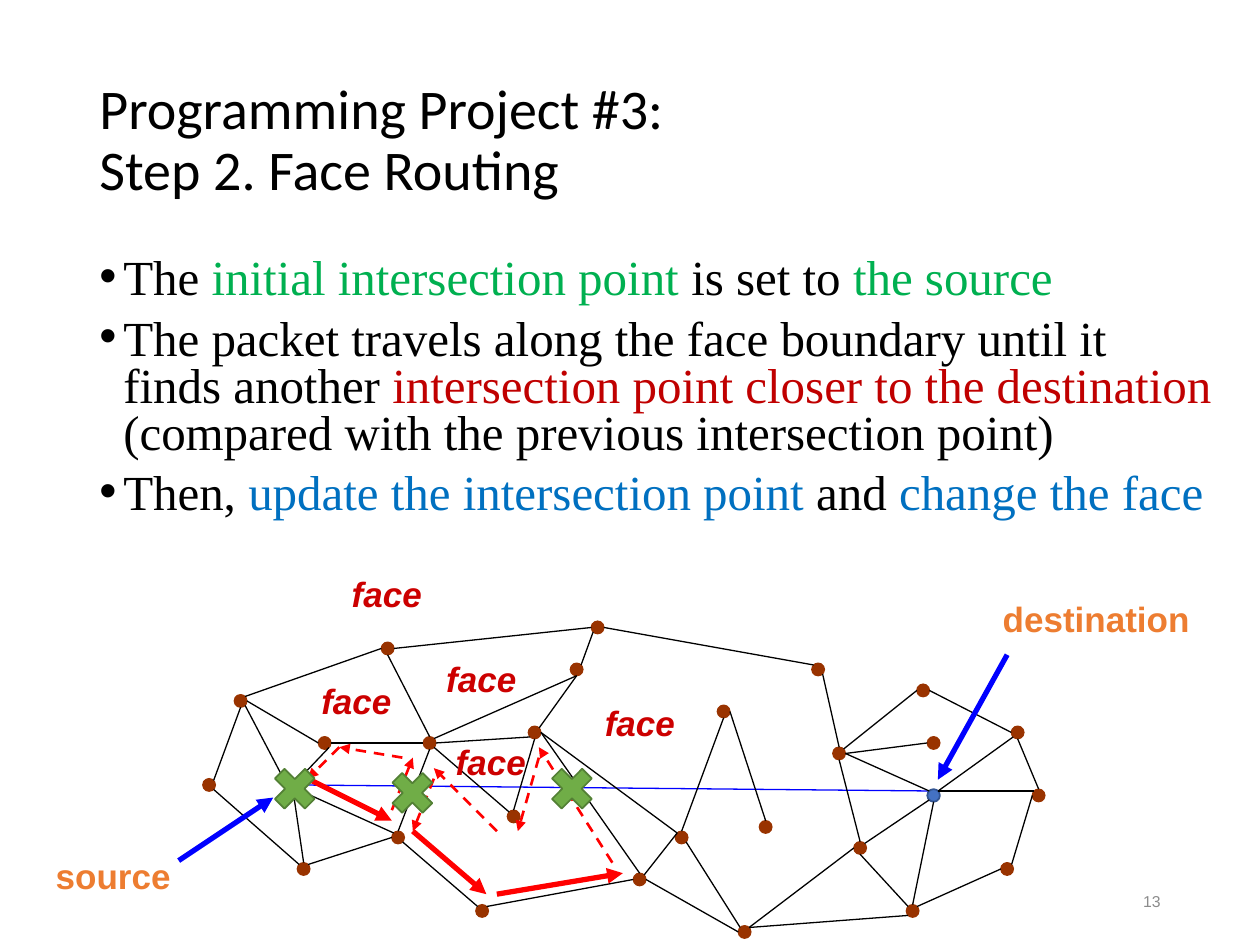
from typing import NamedTuple

from lxml import etree
from pptx import Presentation
from pptx.dml.color import RGBColor
from pptx.enum.dml import MSO_LINE
from pptx.enum.shapes import MSO_CONNECTOR, MSO_SHAPE
from pptx.enum.text import MSO_ANCHOR, MSO_AUTO_SIZE, PP_ALIGN
from pptx.oxml.ns import qn
from pptx.util import Inches, Pt

OVAL, CROSS = MSO_SHAPE.OVAL, MSO_SHAPE.MATH_MULTIPLY
LINE, DASH = MSO_CONNECTOR.STRAIGHT, MSO_LINE.DASH
TOP, MIDDLE = MSO_ANCHOR.TOP, MSO_ANCHOR.MIDDLE
LEFT, RIGHT = PP_ALIGN.LEFT, PP_ALIGN.RIGHT
GROW, FIXED = MSO_AUTO_SIZE.SHAPE_TO_FIT_TEXT, MSO_AUTO_SIZE.NONE

BLACK = RGBColor(0x00, 0x00, 0x00)
GRAY = RGBColor(0x8C, 0x8C, 0x8C)
BROWN = RGBColor(0x99, 0x33, 0x00)
STEEL = RGBColor(0x44, 0x72, 0xC4)
NAVY = RGBColor(0x32, 0x54, 0x91)
BLUE = RGBColor(0x00, 0x00, 0xFF)
RED = RGBColor(0xFF, 0x00, 0x00)
CRIMSON = RGBColor(0xCC, 0x00, 0x00)
ORANGE = RGBColor(0xED, 0x7D, 0x31)
LEAF = RGBColor(0x70, 0xAD, 0x47)
MOSS = RGBColor(0x53, 0x80, 0x35)
GREEN = RGBColor(0x00, 0xB0, 0x50)
MAROON = RGBColor(0xC0, 0x00, 0x00)
AZURE = RGBColor(0x00, 0x70, 0xC0)

# The graph lies on a grid of twelve cells to the inch
CELL, LEFT_X, TOP_Y = 1 / 12, 1.61, 4.93
DOT, MARK = 0.1, 0.46


class Point(NamedTuple):
    x: float
    y: float


class Box(NamedTuple):
    x: float
    y: float
    w: float
    h: float


class Arrow(NamedTuple):
    start: Point
    end: Point
    color: RGBColor = RED
    dashed: bool = False


class Label(NamedTuple):
    text: str
    col: float
    row: float
    wide: float = 0.76
    color: RGBColor = CRIMSON
    italic: bool = True


def cell(col: float, row: float) -> Point:
    return Point(LEFT_X + col * CELL, TOP_Y + row * CELL)


# Node cells by letter; D is the source and X the destination
NODES = {
    "A": (0, 15), "B": (3, 7), "C": (9, 23), "D": (8, 15), "E": (11, 11),
    "F": (18, 20), "G": (17, 2), "H": (21, 11), "I": (26, 27), "J": (35, 4),
    "K": (37, 0), "L": (29, 18), "M": (31, 10), "N": (49, 8), "O": (58, 4),
    "P": (41, 24), "Q": (45, 20), "R": (53, 19), "S": (51, 29), "T": (62, 21),
    "U": (60, 12), "V": (68, 6), "W": (69, 11), "X": (69, 16), "Y": (77, 10),
    "Z": (79, 16), "a": (76, 23), "b": (67, 27),
}
ENDS = "DX"

# Each edge end is a node letter and the compass side it touches
EDGES = """
Ane-Bs Bne-Gw Ge-Kw Ke-Onw Ase-Cnw Bse-Dw Be-Ew Dne-Ese Ee-Hw Hn-Gs Cn-Ds
Cne-Fw Fnw-Dse Fn-Hs Hne-Js Jne-Ksw He-Msw Js-Mne Hse-Lnw Ms-Ln Fse-Inw
Ine-Pw Pn-Me Pne-Qnw Qnw-Me Qn-Ns Ne-Rn Qse-Snw Sw-Pe Sne-Tw Tn-Us Un-Ose
Une-Vw Ue-Ww Ue-Xnw Xsw-Tne Ts-bnw Sne-bsw Xs-bn bne-aw ane-Zw Xne-Znw
Zn-Ys Xne-Ysw Yw-Ve
""".split()

ARROWS = [
    # Walk around the first face
    Arrow(cell(10, 15), cell(18, 19)),
    Arrow(cell(18, 18), cell(20, 13), dashed=True),
    Arrow(cell(19, 13), cell(13, 12), dashed=True),
    Arrow(cell(13, 12), cell(10, 15), dashed=True),
    # Walk around the second face
    Arrow(cell(20, 20), cell(27, 26)),
    Arrow(cell(28, 26), cell(40, 24)),
    Arrow(cell(39, 23), cell(32, 12), dashed=True),
    Arrow(cell(32, 13), cell(30, 20), dashed=True),
    Arrow(cell(28, 20), cell(22, 14), dashed=True),
    Arrow(cell(22, 15), cell(20, 20), dashed=True),
    # Pointers to source and destination
    Arrow(cell(-2.3, 22.8), cell(6.7, 16.8), BLUE),
    Arrow(cell(76.6, 3.2), cell(70, 15.1), BLUE),
]
LABELS = [
    Label("face", 10.1, 5), Label("face", 22, 2.9), Label("face", 22.9, 10.8),
    Label("face", 37.1, 7.1), Label("face", 13, -5.2),
    Label("source", -15.2, 21.6, 1.11, ORANGE, False),
    Label("destination", 75, -2.8, 1.7, ORANGE, False),
]
MARKS = [(6, 13.2), (17.2, 13.6), (32.4, 13.2)]

BODY = [
    [("The ", BLACK), ("initial intersection point ", GREEN),
     ("is set to ", BLACK), ("the source", GREEN)],
    [("The packet travels along the face boundary until it finds another ", BLACK),
     ("intersection point closer to the destination", MAROON),
     (" (compared with the previous intersection point)", BLACK)],
    [("Then, ", BLACK), ("update the intersection point", AZURE),
     (" and ", BLACK), ("change the face", AZURE)],
]


def write(slide, box: Box, paras: list, *, size: float, font: str = "Arial",
          bold: bool = False, italic: bool = False, align=LEFT, anchor=MIDDLE,
          wrap: bool = True, lead: float = 1, before: float = 0,
          bullet: bool = False) -> None:
    frame = slide.shapes.add_textbox(*map(Inches, box)).text_frame
    frame.word_wrap, frame.vertical_anchor = wrap, anchor
    frame.auto_size = FIXED if wrap else GROW
    for i, runs in enumerate(paras):
        para = frame.paragraphs[0] if i == 0 else frame.add_paragraph()
        para.alignment, para.line_spacing = align, lead
        para.space_before = Pt(before)
        if bullet:
            props = para._p.get_or_add_pPr()
            props.set("marL", str(Inches(0.19)))
            props.set("indent", str(-Inches(0.19)))
            etree.SubElement(props, qn("a:buFont"), typeface="Arial")
            etree.SubElement(props, qn("a:buChar"), char="•")
        for text, color in runs:
            for j, part in enumerate(text.split("\n")):
                if j:
                    para.add_line_break()
                run = para.add_run()
                run.text = part
                face = run.font
                face.name, face.size = font, Pt(size)
                face.bold, face.italic = bold, italic
                face.color.rgb = color


def link(slide, start: Point, end: Point, color: RGBColor = BLACK,
         width: float = 0.75, dashed: bool = False, head: bool = False) -> None:
    wire = slide.shapes.add_connector(LINE, *map(Inches, (*start, *end)))
    wire.line.color.rgb, wire.line.width = color, Pt(width)
    if dashed:
        wire.line.dash_style = DASH
    if head:
        etree.SubElement(wire.line._get_or_add_ln(), qn("a:tailEnd"), type="triangle")
    etree.SubElement(wire._element.spPr, qn("a:effectLst"))


def stamp(slide, kind, spot: Point, size: float, fill: RGBColor,
          edge: RGBColor, width: float) -> None:
    shape = slide.shapes.add_shape(kind, *map(Inches, (*spot, size, size)))
    shape.shadow.inherit = False
    shape.fill.solid()
    shape.fill.fore_color.rgb = fill
    shape.line.color.rgb, shape.line.width = edge, Pt(width)


def site(end: str) -> Point:
    """Point on a node's rim, such as "Ane" for the north-east of A."""
    spot, side = cell(*NODES[end[0]]), end[1:]
    reach = DOT / 2 * (0.71 if len(side) == 2 else 1)
    return Point(spot.x + DOT / 2 + reach * (("e" in side) - ("w" in side)),
                 spot.y + DOT / 2 + reach * (("s" in side) - ("n" in side)))


def main() -> None:
    deck = Presentation()
    deck.slide_width, deck.slide_height = Inches(10), Inches(7.5)
    slide = deck.slides.add_slide(deck.slide_layouts[6])

    # Body and title
    write(slide, Box(0.69, 2, 9.04, 2.95), BODY, size=28, font="Times New Roman",
          anchor=TOP, lead=0.8, before=7.5, bullet=True)
    write(slide, Box(0.69, 0.4, 8.62, 1.45),
          [[("Programming Project #3:\nStep 2. Face Routing", BLACK)]],
          size=32, font="Calibri", lead=0.9)

    # Graph with the straight line from source to destination
    link(slide, site("De"), site("Xnw"), BLUE)
    for name, spot in NODES.items():
        look = (STEEL, NAVY, 1) if name in ENDS else (BROWN, BROWN, 0.75)
        stamp(slide, OVAL, cell(*spot), DOT, *look)
    for edge in EDGES:
        link(slide, *map(site, edge.split("-")))

    # Labels, arrows and intersection marks
    for tag in LABELS:
        write(slide, Box(*cell(tag.col, tag.row), tag.wide, 0.43),
              [[(tag.text, tag.color)]], size=20, bold=True,
              italic=tag.italic, wrap=False)
    for arrow in ARROWS:
        link(slide, arrow.start, arrow.end, arrow.color,
             1.5 if arrow.dashed else 3, arrow.dashed, head=True)
    for spot in MARKS:
        stamp(slide, CROSS, cell(*spot), MARK, LEAF, MOSS, 1)

    # Page number
    write(slide, Box(7.06, 6.95, 2.25, 0.4), [[("13", GRAY)]], size=9, align=RIGHT)
    deck.save("out.pptx")


if __name__ == "__main__":
    main()
